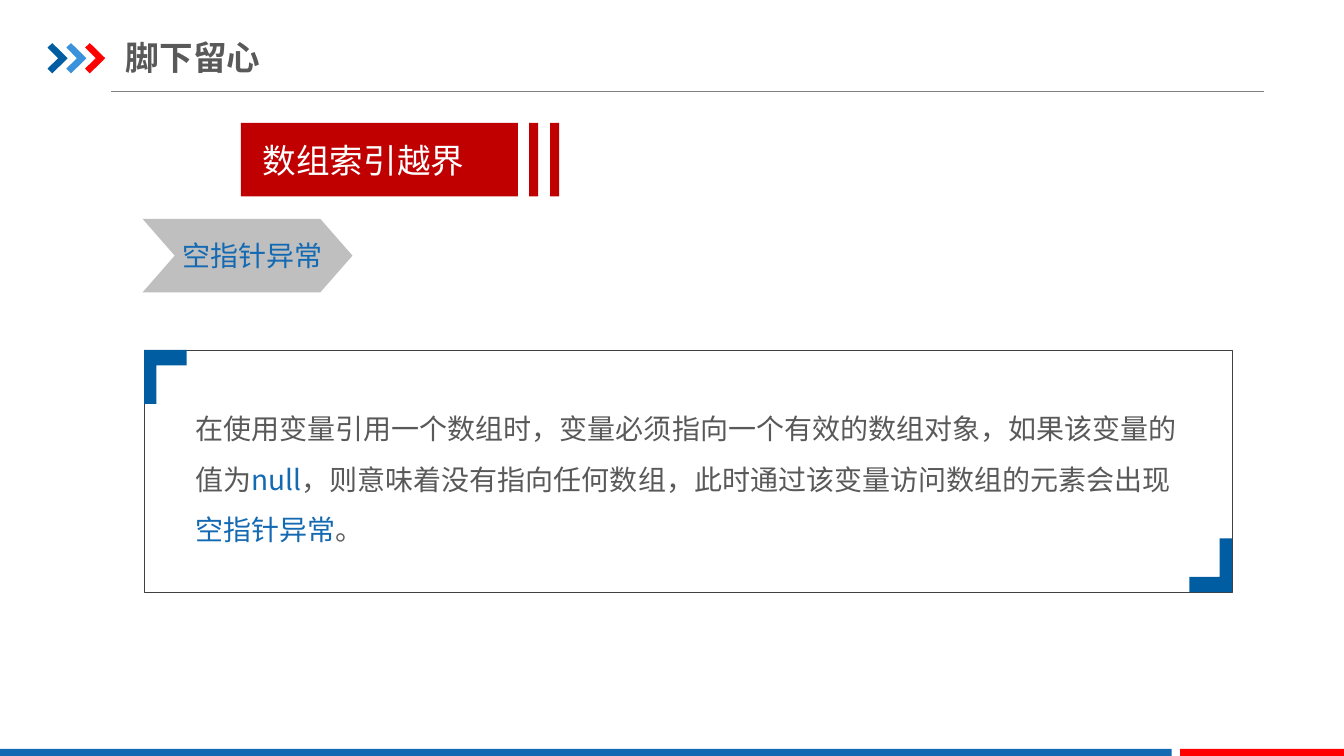
from lxml.etree import SubElement
from pptx import Presentation
from pptx.dml.color import RGBColor
from pptx.enum.shapes import MSO_CONNECTOR, MSO_SHAPE
from pptx.enum.text import MSO_ANCHOR, PP_ALIGN
from pptx.oxml.ns import qn
from pptx.util import Pt

# Content
TITLE = "脚下留心"
BANNER = "数组索引越界"
TAG = "空指针异常"
BODY = [
    ("在使用变量引用一个数组时，变量必须指向一个有效的数组对象，如果该变量的值为", "text"),
    ("null", "blue"),
    ("，则意味着没有指向任何数组，此时通过该变量访问数组的元素会出现", "text"),
    ("空指针异常", "blue"),
    ("。", "text"),
]
FONT = "Noto Sans CJK SC"
COLORS = {
    "text": "595959", "blue": "1369B2", "navy": "005DA2", "sky": "3992DB",
    "red": "FF0000", "crimson": "C00000", "silver": "BFBFBF",
    "rule": "808080", "frame": "404040", "white": "FFFFFF",
}

# Geometry in points
W, H = 960, 540
BANNER_TOP, BANNER_H = 87.8, 52.6
FRAME = (103, 250, 777, 173)
ARROW = [(0, 3.2), (3.4, 0), (14.4, 10.8), (3.4, 21.6), (0, 18.2), (7.6, 10.8)]
CORNER = [(0, 0), (30.4, 0), (30.4, 11), (8.8, 11), (8.8, 38.4), (0, 38.4)]


def rgb(name):
    return RGBColor.from_string(COLORS[name])


def paint(shape, color):
    shape.shadow.inherit = False
    shape.fill.solid()
    shape.fill.fore_color.rgb = rgb(color)
    shape.line.fill.background()


def add_block(s, kind, x, y, w, h, color):
    sp = s.shapes.add_shape(kind, Pt(x), Pt(y), Pt(w), Pt(h))
    paint(sp, color)
    return sp


def add_outline(s, points, color):
    pts = [(Pt(x), Pt(y)) for x, y in points]
    fb = s.shapes.build_freeform(*pts[0], scale=1.0)
    fb.add_line_segments(pts[1:], close=True)
    paint(fb.convert_to_shape(), color)


def set_font(r, size, color, latin=FONT, bold=False):
    r.font.size, r.font.bold, r.font.name = Pt(size), bold, latin
    r.font.color.rgb = rgb(color)
    SubElement(r.font._element, qn("a:ea")).set("typeface", FONT)


def set_label(sp, text, size, color, align, left, latin=FONT, bold=False):
    tf = sp.text_frame
    tf.text = text
    tf.vertical_anchor = MSO_ANCHOR.MIDDLE
    tf.margin_left, tf.margin_right = Pt(left), 0
    tf.word_wrap = False
    p = tf.paragraphs[0]
    p.alignment = align
    set_font(p.runs[0], size, color, latin, bold)


def main():
    prs = Presentation()
    prs.slide_width, prs.slide_height = Pt(W), Pt(H)
    s = prs.slides.add_slide(prs.slide_layouts[5])

    # Header: title, rule and three arrows
    title = s.shapes.title
    title.left, title.top, title.width, title.height = Pt(90), Pt(21), Pt(307), Pt(40)
    set_label(title, TITLE, 24, "text", PP_ALIGN.LEFT, 0, bold=True)
    rule = s.shapes.add_connector(
        MSO_CONNECTOR.STRAIGHT, Pt(79.2), Pt(65.5), Pt(903), Pt(65.5))
    rule.line.color.rgb, rule.line.width = rgb("rule"), Pt(0.75)
    SubElement(rule._element.spPr, qn("a:effectLst"))
    for i, color in enumerate(("navy", "sky", "red")):
        add_outline(s, [(34 + 13.4 * i + x, 30.8 + y) for x, y in ARROW], color)

    # Footer bars
    for x, w, color in ((0, 837, "blue"), (843, W - 843, "red")):
        add_block(s, MSO_SHAPE.RECTANGLE, x, 535, w, H - 535, color)

    # Banner and its two stripes
    banner = add_block(s, MSO_SHAPE.RECTANGLE, 172, BANNER_TOP, 198, BANNER_H, "crimson")
    set_label(banner, BANNER, 24, "white", PP_ALIGN.LEFT, 15.6, latin="Arial")
    for x in (378, 393):
        add_block(s, MSO_SHAPE.RECTANGLE, x, BANNER_TOP, 6.5, BANNER_H, "crimson")

    # Chevron tag
    tag = add_block(s, MSO_SHAPE.CHEVRON, 101.8, 156.3, 150, BANNER_H, "silver")
    tag.adjustments[0] = 0.438
    set_label(tag, TAG, 20, "blue", PP_ALIGN.CENTER, 7)

    # Explanation
    box = s.shapes.add_textbox(Pt(132.4), Pt(278.6), Pt(729.5), Pt(116))
    tf = box.text_frame
    tf.word_wrap = True
    p = tf.paragraphs[0]
    p.line_spacing = 1.5
    for text, color in BODY:
        r = p.add_run()
        r.text = text
        set_font(r, 20, color)

    # Frame with two opposite corners
    x0, y0, w, h = FRAME
    frame = s.shapes.add_shape(MSO_SHAPE.RECTANGLE, Pt(x0), Pt(y0), Pt(w), Pt(h))
    frame.shadow.inherit = False
    frame.fill.background()
    frame.line.color.rgb, frame.line.width = rgb("frame"), Pt(0.25)
    add_outline(s, [(x0 + x, y0 + y) for x, y in CORNER], "navy")
    add_outline(s, [(x0 + w - x, y0 + h - y) for x, y in CORNER], "navy")

    prs.save("out.pptx")


if __name__ == "__main__":
    main()
